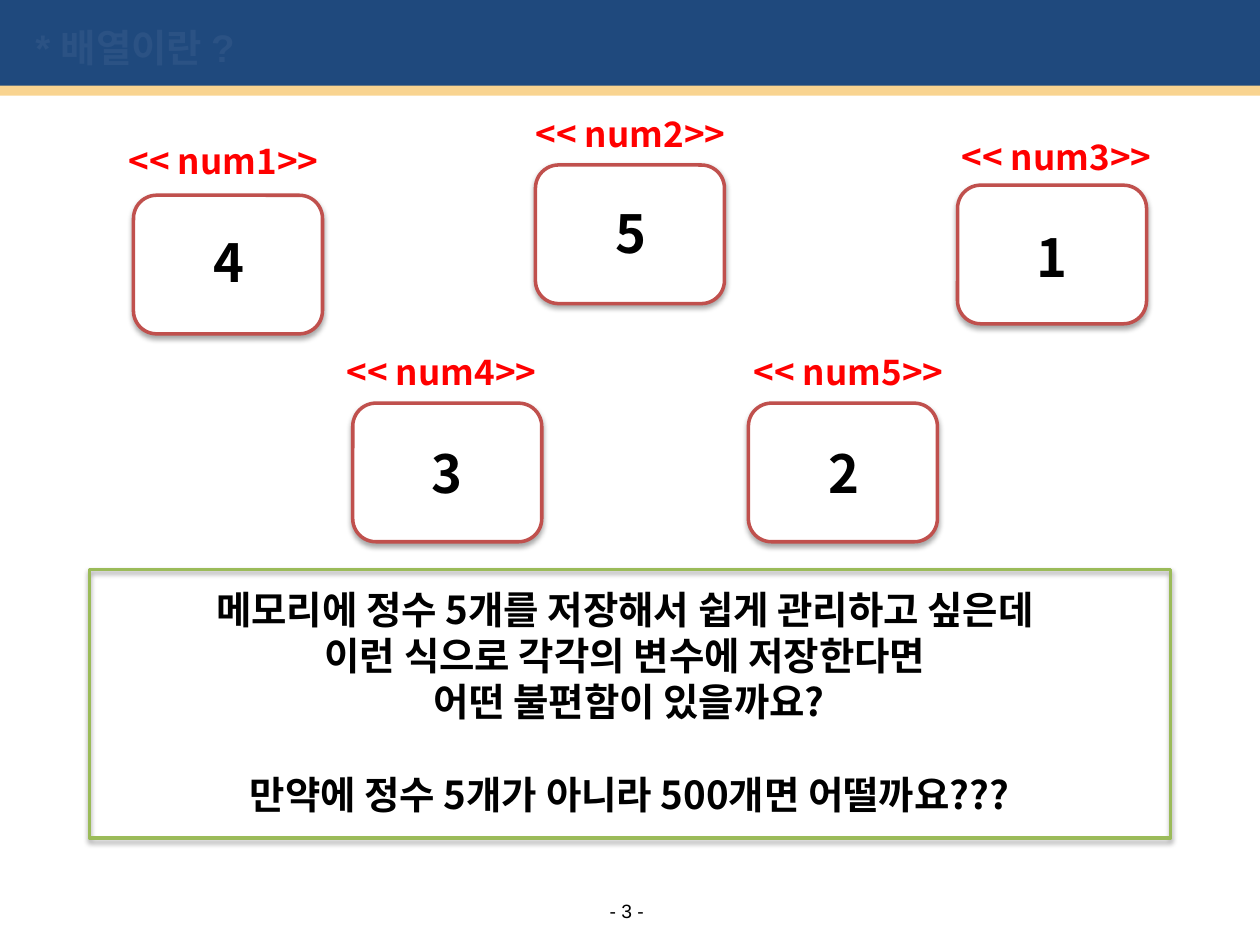
from lxml import etree
from pptx import Presentation
from pptx import util as u
from pptx.dml.color import RGBColor
from pptx.enum import shapes, text
from pptx.oxml import parse_xml
from pptx.oxml.ns import nsdecls, qn

KOREAN_FONT = "Noto Sans CJK KR"
VARIABLES = [
    # name, value, box position, label position, value position
    ("num1", "4", (1.06, 1.55), (0.83, 1.06), (1.46, 1.78)),
    ("num2", "5", (4.25, 1.31), (4.06, 0.84), (4.65, 1.55)),
    ("num3", "1", (7.6, 1.47), (7.44, 1.03), (7.99, 1.74)),
    ("num4", "3", (2.8, 3.2), (2.56, 2.73), (3.19, 3.45)),
    ("num5", "2", (5.94, 3.2), (5.79, 2.73), (6.34, 3.45)),
]
QUESTION = [
    "메모리에 정수 5개를 저장해서 쉽게 관리하고 싶은데 ",
    "이런 식으로 각각의 변수에 저장한다면 ",
    "어떤 불편함이 있을까요?",
    "만약에 정수 5개가 아니라 500개면 어떨까요???",
]


def color(value):
    """Turn a hex string into a colour."""
    return RGBColor.from_string(value)


def write(shape, lines, size, font=KOREAN_FONT, fill="000000", bold=True,
          align=text.PP_ALIGN.CENTER, anchor=text.MSO_ANCHOR.TOP, wrap=True):
    """Fill a shape with formatted lines and return its paragraphs."""
    frame = shape.text_frame
    frame.word_wrap = wrap
    frame.vertical_anchor = anchor
    frame.text = "\n".join(lines)
    for paragraph in frame.paragraphs:
        paragraph.alignment = align
        for run in paragraph.runs:
            run.font.name = font
            run.font.size = u.Pt(size)
            run.font.bold = bold
            run.font.color.rgb = color(fill)
            east_asian = etree.Element(qn("a:ea"), typeface=KOREAN_FONT)
            run.font._element.find(qn("a:latin")).addnext(east_asian)
    return frame.paragraphs


def add_text(slide, lines, left, top, width, height, size, **style):
    """Add a text box with formatted lines and return its paragraphs."""
    box = slide.shapes.add_textbox(*map(u.Inches, (left, top, width, height)))
    return write(box, lines, size, **style)


def add_shadow(shape):
    """Give a shape a soft shadow straight below it."""
    shape.shadow.inherit = False
    effects = shape._element.spPr.find(qn("a:effectLst"))
    effects.append(parse_xml(
        f'<a:outerShdw {nsdecls("a")} blurRad="{u.Pt(3.1)}" dist="{u.Pt(1.8)}" '
        'dir="5400000" rotWithShape="0"><a:srgbClr val="000000">'
        '<a:alpha val="35000"/></a:srgbClr></a:outerShdw>'))


def add_box(slide, kind, left, top, width, height, fill=None, line=None):
    """Add a preset shape; an outlined one also casts a shadow."""
    shape = slide.shapes.add_shape(
        kind, *map(u.Inches, (left, top, width, height)))
    shape.shadow.inherit = False
    if fill:
        shape.fill.solid()
        shape.fill.fore_color.rgb = color(fill)
    else:
        shape.fill.background()
    if line:
        shape.line.color.rgb = color(line)
        shape.line.width = u.Pt(2)
        add_shadow(shape)
    else:
        shape.line.fill.background()
    return shape


def add_header(slide):
    """Draw the title band and place the title on it."""
    rectangle = shapes.MSO_SHAPE.RECTANGLE
    add_box(slide, rectangle, 0, -0.03, 10, 0.76, fill="1F497D")
    add_box(slide, rectangle, 0, 0.68, 10, 0.08, fill="F9D490")
    title = slide.shapes.title
    title.left, title.top = u.Inches(0.18), u.Inches(0.07)
    title.width, title.height = u.Inches(9), u.Inches(0.6)
    write(title, ["* 배열이란 ?"], 22, font="Arial", fill="2B5284",
          align=text.PP_ALIGN.LEFT, anchor=text.MSO_ANCHOR.MIDDLE)
    slide.shapes._spTree.append(title._element)


def add_variable(slide, name, value, box, label, number):
    """Draw one variable as a labelled box holding its value."""
    add_box(slide, shapes.MSO_SHAPE.ROUNDED_RECTANGLE, *box, 1.5, 1.1,
            fill="FFFFFF", line="C0504D")
    add_text(slide, [value], *number, 0.71, 0.6, 30)
    add_text(slide, [f"<< {name}>>"], *label, 1.89, 0.43, 20, fill="FF0000")


def add_question(slide):
    """Write the framed question, with its last line set apart."""
    paragraphs = add_text(slide, QUESTION, 0.98, 4.6, 8.03, 2.29, 22)
    paragraphs[-1].space_before = u.Pt(26.5)
    add_box(slide, shapes.MSO_SHAPE.FLOWCHART_PROCESS, 0.71, 4.52, 8.58, 2.13,
            line="9BBB59")


def main():
    """Build the slide and save it."""
    presentation = Presentation()
    presentation.slide_width = u.Inches(10)
    presentation.slide_height = u.Inches(7.5)
    slide = presentation.slides.add_slide(presentation.slide_layouts[5])
    add_header(slide)
    for variable in VARIABLES:
        add_variable(slide, *variable)
    add_question(slide)
    add_text(slide, ["- 3 -"], 4.66, 7.08, 0.63, 0.29, 11, font="Arial",
             bold=False, anchor=text.MSO_ANCHOR.MIDDLE, wrap=False)
    presentation.save("out.pptx")


if __name__ == "__main__":
    main()
